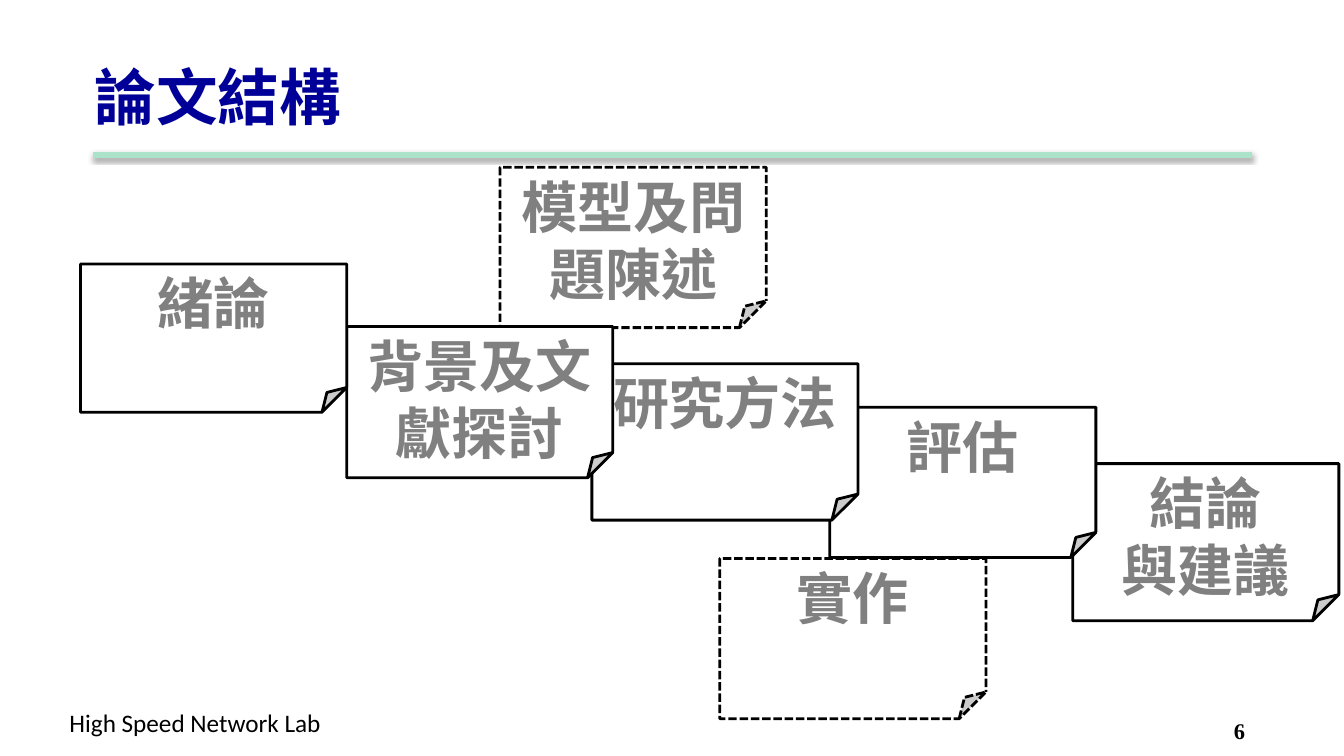
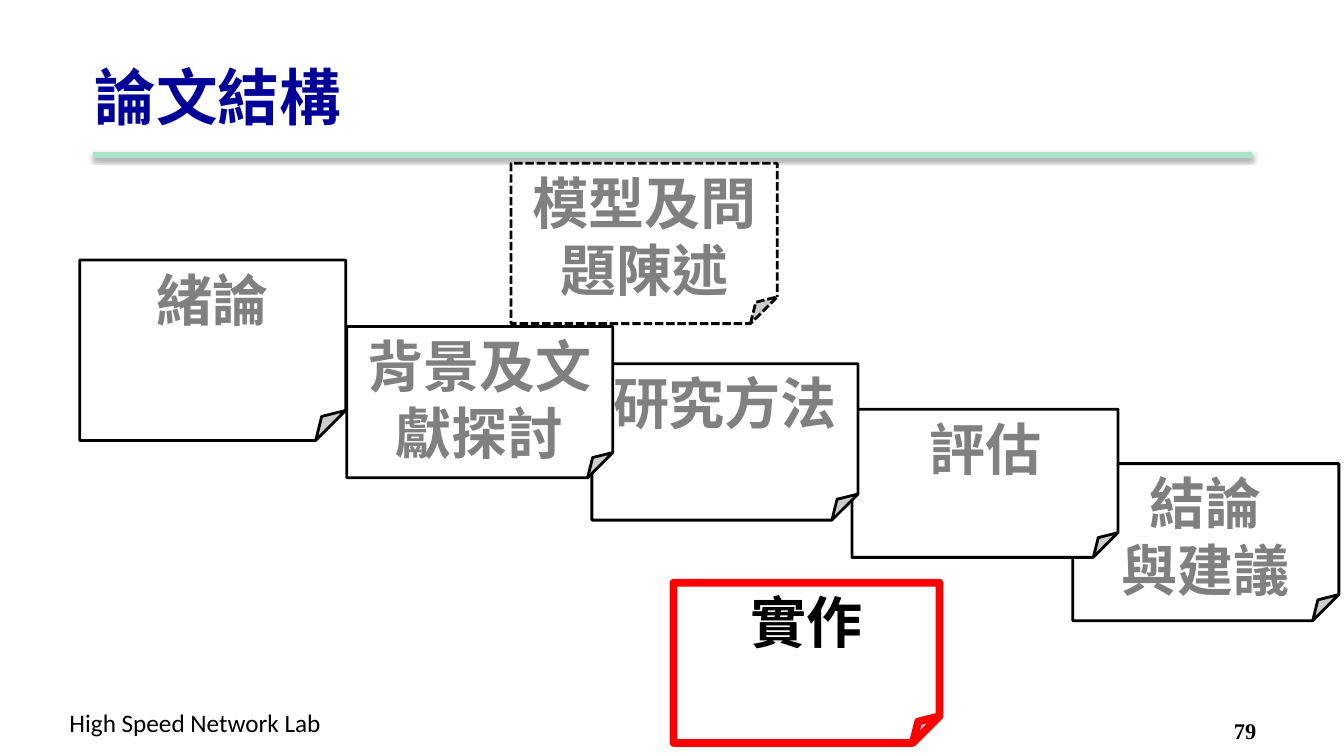
from dataclasses import dataclass, replace

import pptx
import pptx.dml.color
import pptx.enum.dml
import pptx.enum.lang
import pptx.enum.shapes
import pptx.enum.text
import pptx.oxml
import pptx.oxml.ns
import pptx.util

ALIGN = pptx.enum.text.PP_ALIGN
ANCHOR = pptx.enum.text.MSO_ANCHOR
DASH = pptx.enum.dml.MSO_LINE_DASH_STYLE
LANGUAGE = pptx.enum.lang.MSO_LANGUAGE_ID


@dataclass(frozen=True)
class TextStyle:
    """Font, size, colour and weight of a run."""
    font: str
    size: float
    color: str
    bold: bool = True


@dataclass(frozen=True)
class Theme:
    """Colours, type and line weights shared by the slides."""
    paper: str = "FFFFFF"
    ink: str = "000000"
    accent: str = "FF0000"
    rule: str = "AAE2CA"
    rule_weight: float = 4.5
    card_weight: float = 2
    accent_weight: float = 5.5
    title: TextStyle = TextStyle("Times New Roman", 44, "000099")
    chapter: TextStyle = TextStyle("Arial", 40, "808080")
    current: TextStyle = TextStyle("Arial", 40, "000000")
    lab: TextStyle = TextStyle("Calibri", 18, "000000", False)
    page: TextStyle = TextStyle("Times New Roman", 16, "000000")


THEME = Theme()


@dataclass(frozen=True)
class Box:
    """A rectangle that hands out inner boxes, in percent."""
    left: int
    top: int
    width: int
    height: int

    def share(self, left, top, width, height):
        """Return the inner box with the given percentages."""
        return Box(self.left + round(self.width * left / 100),
                   self.top + round(self.height * top / 100),
                   round(self.width * width / 100),
                   round(self.height * height / 100))

    @property
    def frame(self):
        """Return left, top, width and height."""
        return self.left, self.top, self.width, self.height


@dataclass(frozen=True)
class Chapter:
    """One folded card of the thesis outline."""
    lines: tuple
    left: float
    top: float
    height: float
    optional: bool = False
    current: bool = False


CARD_WIDTH = 19.8
OUTLINE = {
    "implementation": Chapter(("實作",), 53.56, 73.87, 21.2, optional=True),
    "model": Chapter(("模型及問題陳述",), 37.21, 22.13, 21.2, optional=True),
    "conclusion": Chapter(("結論", "與建議"), 79.82, 61.33, 20.8),
    "evaluation": Chapter(("評估",), 61.74, 53.87, 19.87),
    "method": Chapter(("研究方法",), 44.04, 48.13, 20.67),
    "background": Chapter(("背景及文獻探討",), 25.8, 43.2, 20),
    "introduction": Chapter(("緒論",), 6, 34.93, 19.6),
}
IMPLEMENTATION_FOCUS = {
    "implementation": dict(left=50.11, top=77.07, optional=False, current=True),
    "model": dict(left=38.03, top=21.6),
    "evaluation": dict(left=63.39, top=54.13, height=19.6),
    "introduction": dict(left=5.93, top=34.4, height=23.87),
}
PAGES = (("6", {}), ("79", IMPLEMENTATION_FOCUS))


def rgb(color):
    """Turn a hex string into a colour."""
    return pptx.dml.color.RGBColor.from_string(color)


def write(frame, lines, style, align=ALIGN.LEFT):
    """Write one paragraph for each line."""
    for index, line in enumerate(lines):
        paragraph = frame.paragraphs[0] if index == 0 else frame.add_paragraph()
        paragraph.alignment = align
        run = paragraph.add_run()
        run.text = line
        run.font.name = style.font
        run.font.size = pptx.util.Pt(style.size)
        run.font.bold = style.bold
        run.font.color.rgb = rgb(style.color)
        run.font.language_id = LANGUAGE.TRADITIONAL_CHINESE


def add_label(slide, box, text, style, anchor=ANCHOR.TOP, wrap=True):
    """Add a line of text in the given box."""
    frame = slide.shapes.add_textbox(*box.frame).text_frame
    frame.word_wrap = wrap
    frame.vertical_anchor = anchor
    write(frame, (text,), style)


def add_rule(slide, box):
    """Draw the shadowed rule along the top of the box."""
    rule = slide.shapes.add_connector(
        pptx.enum.shapes.MSO_CONNECTOR.STRAIGHT,
        box.left, box.top, box.left + box.width, box.top)
    rule.line.color.rgb = rgb(THEME.rule)
    rule.line.width = pptx.util.Pt(THEME.rule_weight)
    rule.element.spPr.append(pptx.oxml.parse_xml(
        f'<a:effectLst {pptx.oxml.ns.nsdecls("a")}>'
        f'<a:outerShdw blurRad="{pptx.util.Pt(3.1)}" dist="{pptx.util.Pt(1.6)}"'
        ' dir="5400000" rotWithShape="0">'
        f'<a:srgbClr val="{THEME.ink}"><a:alpha val="38000"/></a:srgbClr>'
        '</a:outerShdw></a:effectLst>'))


def add_header(slide, box):
    """Place the title and the rule under it."""
    add_rule(slide, box.share(6.9, 20.53, 86.27, 0))
    add_label(slide, box.share(6.3, 4.4, 85, 16.67), "論文結構",
              THEME.title, ANCHOR.MIDDLE)


def add_footer(slide, box, number):
    """Place the lab name and the page number."""
    add_label(slide, box.share(4.43, 92.93, 20.93, 5.33),
              "High Speed Network Lab", THEME.lab, wrap=False)
    add_label(slide, box.share(91.07, 94.27, 7.43, 4), number, THEME.page)


def add_card(slide, box, chapter):
    """Draw a chapter as a folded sheet filling the box."""
    card = slide.shapes.add_shape(
        pptx.enum.shapes.MSO_SHAPE.FOLDED_CORNER, *box.frame)
    card.shadow.inherit = False
    card.fill.solid()
    card.fill.fore_color.rgb = rgb(THEME.paper)
    card.line.color.rgb = rgb(THEME.accent if chapter.current else THEME.ink)
    card.line.width = pptx.util.Pt(
        THEME.accent_weight if chapter.current else THEME.card_weight)
    if chapter.optional:
        card.line.dash_style = DASH.SQUARE_DOT
    card.text_frame.word_wrap = True
    card.text_frame.vertical_anchor = ANCHOR.TOP
    write(card.text_frame, chapter.lines,
          THEME.current if chapter.current else THEME.chapter, ALIGN.CENTER)


def add_outline(slide, box, changes):
    """Lay out the chapter cards, with the changes for this slide."""
    for key, chapter in OUTLINE.items():
        chapter = replace(chapter, **changes.get(key, {}))
        add_card(slide, box.share(chapter.left, chapter.top, CARD_WIDTH,
                                  chapter.height), chapter)


def main():
    """Build the outline slides and save them."""
    deck = pptx.Presentation()
    deck.slide_width = pptx.util.Inches(13.33)
    deck.slide_height = pptx.util.Inches(7.5)
    page = Box(0, 0, deck.slide_width, deck.slide_height)
    for number, changes in PAGES:
        slide = deck.slides.add_slide(deck.slide_layouts[6])
        add_header(slide, page)
        add_footer(slide, page, number)
        add_outline(slide, page, changes)
    deck.save("out.pptx")


if __name__ == "__main__":
    main()
